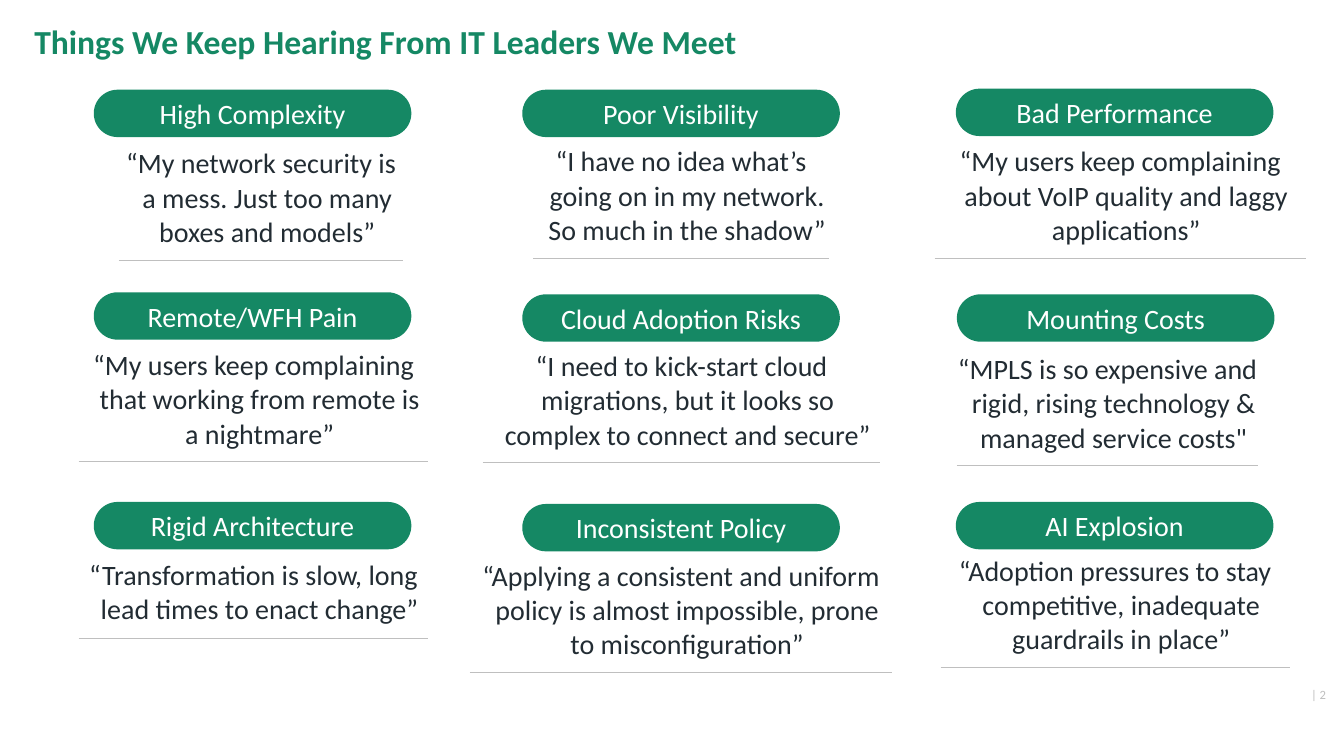
from dataclasses import dataclass

from lxml.etree import SubElement
from pptx import Presentation
from pptx.dml.color import RGBColor
from pptx.enum.shapes import MSO_SHAPE as Preset
from pptx.enum.text import MSO_ANCHOR as Anchor, MSO_AUTO_SIZE as AutoSize, PP_ALIGN as Align
from pptx.oxml.ns import qn
from pptx.slide import Slide
from pptx.table import _Cell as Cell
from pptx.text.text import TextFrame
from pptx.util import Emu, Pt

EMU_PER_PX = 9144


@dataclass(frozen=True)
class Theme:
    font: str = "Calibri"
    green: str = "158864"
    ink: str = "222C33"
    white: str = "FFFFFF"
    grey: str = "BFBFBF"
    title_size: int = 24
    body_size: int = 20
    number_size: int = 9
    rule_width: float = 0.5


@dataclass(frozen=True)
class Box:
    left: int
    top: int
    width: int
    height: int

    def emu(self) -> tuple[Emu, Emu, Emu, Emu]:
        return px(self.left), px(self.top), px(self.width), px(self.height)


@dataclass(frozen=True)
class Card:
    heading: str
    quote: str
    badge_left: int
    badge_top: int
    quote_box: Box


THEME = Theme()
BADGE_WIDTH, BADGE_HEIGHT = 315, 47
QUOTE_INDENT = 12
TITLE_BOX = Box(34, 20, 1230, 47)
NUMBER_BOX = Box(1280, 675, 45, 27)

CARDS = (
    Card("High Complexity", "“My network security is a mess. Just too many boxes and models”",
         93, 89, Box(118, 136, 282, 122)),
    Card("Poor Visibility", "“I have no idea what’s going on in my network. So much in the shadow”",
         518, 89, Box(529, 134, 293, 122)),
    Card("Bad Performance", "“My users keep complaining about VoIP quality and laggy applications”",
         948, 88, Box(927, 134, 368, 122)),
    Card("Remote/WFH Pain", "“My users keep complaining that working from remote is a nightmare”",
         93, 290, Box(78, 336, 347, 122)),
    Card("Cloud Adoption Risks",
         "“I need to kick-start cloud migrations, but it looks so complex to connect and secure”",
         518, 292, Box(479, 337, 394, 122)),
    Card("Mounting Costs",
         "“MPLS is so expensive and rigid, rising technology & managed service costs\"",
         949, 292, Box(949, 340, 299, 122)),
    Card("Rigid Architecture", "“Transformation is slow, long lead times to enact change”",
         93, 498, Box(78, 544, 347, 89)),
    Card("Inconsistent Policy",
         "“Applying a consistent and uniform policy is almost impossible, prone to misconfiguration”",
         518, 500, Box(466, 545, 419, 122)),
    Card("AI Explosion", "“Adoption pressures to stay competitive, inadequate guardrails in place”",
         948, 498, Box(933, 540, 346, 122)),
)


def px(value: int) -> Emu:
    return Emu(value * EMU_PER_PX)


def set_text(frame: TextFrame, text: str, size: int, color: str, align: Align, bold: bool = False) -> None:
    frame.text = text
    paragraph = frame.paragraphs[0]
    paragraph.alignment = align
    font = paragraph.runs[0].font
    font.name = THEME.font
    font.size = Pt(size)
    font.bold = bold
    font.color.rgb = RGBColor.from_string(color)


def format_title(slide: Slide, text: str) -> None:
    title = slide.shapes.title
    title.left, title.top, title.width, title.height = TITLE_BOX.emu()
    frame = title.text_frame
    frame.word_wrap = True
    frame.auto_size = AutoSize.SHAPE_TO_FIT_TEXT
    frame.vertical_anchor = Anchor.TOP
    frame.margin_left = frame.margin_right = 0
    frame.margin_top = frame.margin_bottom = px(5)
    set_text(frame, text, THEME.title_size, THEME.green, Align.LEFT, bold=True)
    frame.paragraphs[0].line_spacing = 0.9


def add_badge(slide: Slide, card: Card) -> None:
    box = Box(card.badge_left, card.badge_top, BADGE_WIDTH, BADGE_HEIGHT)
    badge = slide.shapes.add_shape(Preset.ROUNDED_RECTANGLE, *box.emu())
    badge.adjustments[0] = 0.5
    badge.shadow.inherit = False
    badge.fill.solid()
    badge.fill.fore_color.rgb = RGBColor.from_string(THEME.green)
    badge.line.fill.background()
    frame = badge.text_frame
    frame.word_wrap = True
    frame.vertical_anchor = Anchor.MIDDLE
    frame.margin_top = frame.margin_bottom = 0
    set_text(frame, card.heading, THEME.body_size, THEME.white, Align.CENTER)


def set_bottom_rule(cell: Cell) -> None:
    properties = cell._tc.get_or_add_tcPr()
    for side in ("a:lnL", "a:lnR", "a:lnT"):
        SubElement(SubElement(properties, qn(side)), qn("a:noFill"))
    rule = SubElement(properties, qn("a:lnB"), w=str(Pt(THEME.rule_width)))
    SubElement(SubElement(rule, qn("a:solidFill")), qn("a:srgbClr"), val=THEME.grey)


def add_quote(slide: Slide, card: Card) -> None:
    table = slide.shapes.add_table(1, 1, *card.quote_box.emu()).table
    table.first_row = False
    table.horz_banding = False
    cell = table.cell(0, 0)
    set_bottom_rule(cell)
    cell.fill.background()
    cell.margin_left = cell.margin_right = 0
    cell.margin_top, cell.margin_bottom = px(10), px(12)
    set_text(cell.text_frame, card.quote, THEME.body_size, THEME.ink, Align.CENTER)
    properties = cell.text_frame.paragraphs[0]._p.get_or_add_pPr()
    properties.set("marL", str(px(QUOTE_INDENT)))
    properties.set("indent", str(px(-QUOTE_INDENT)))


def add_page_number(slide: Slide, text: str) -> None:
    frame = slide.shapes.add_textbox(*NUMBER_BOX.emu()).text_frame
    frame.word_wrap = True
    frame.vertical_anchor = Anchor.MIDDLE
    set_text(frame, text, THEME.number_size, THEME.grey, Align.RIGHT)


def main() -> None:
    presentation = Presentation()
    presentation.slide_width, presentation.slide_height = px(1333), px(750)
    slide = presentation.slides.add_slide(presentation.slide_layouts[5])
    format_title(slide, "Things We Keep Hearing From IT Leaders We Meet")
    for card in CARDS:
        add_badge(slide, card)
        add_quote(slide, card)
    add_page_number(slide, "| 2")
    presentation.save("out.pptx")


if __name__ == "__main__":
    main()
